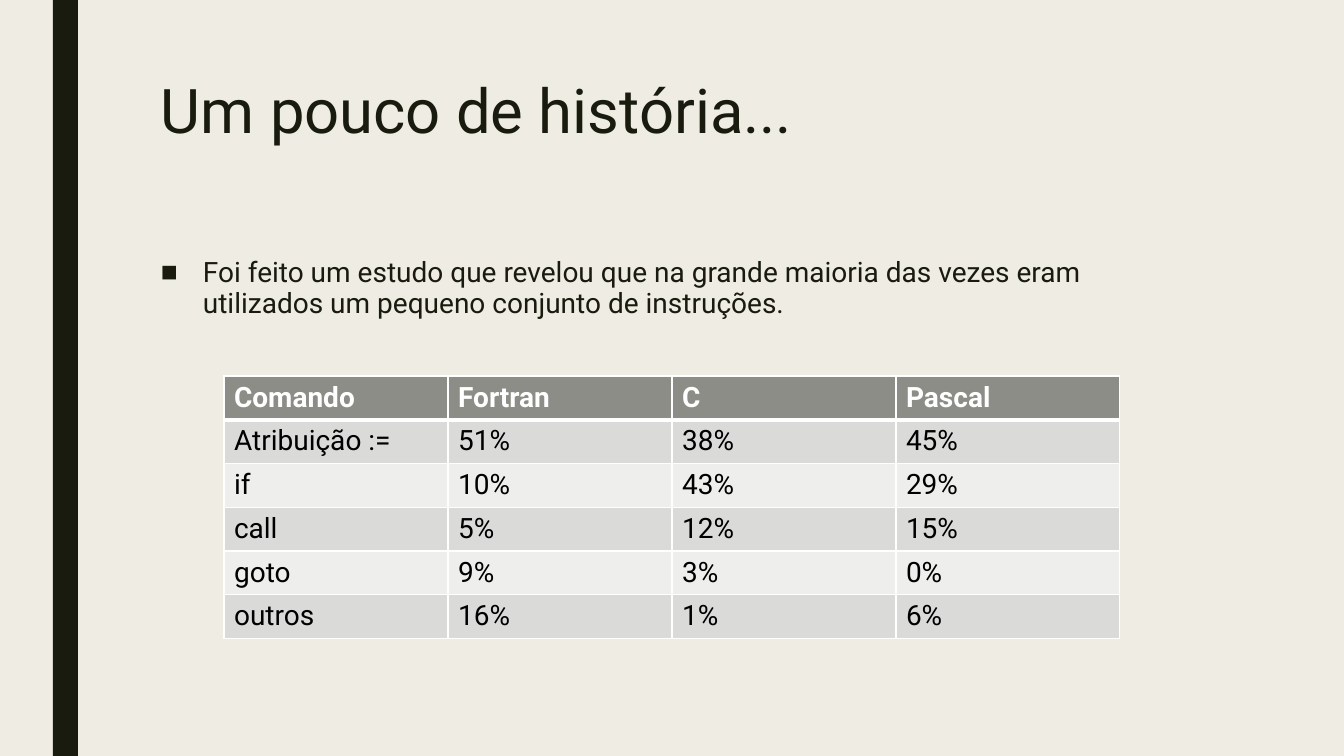
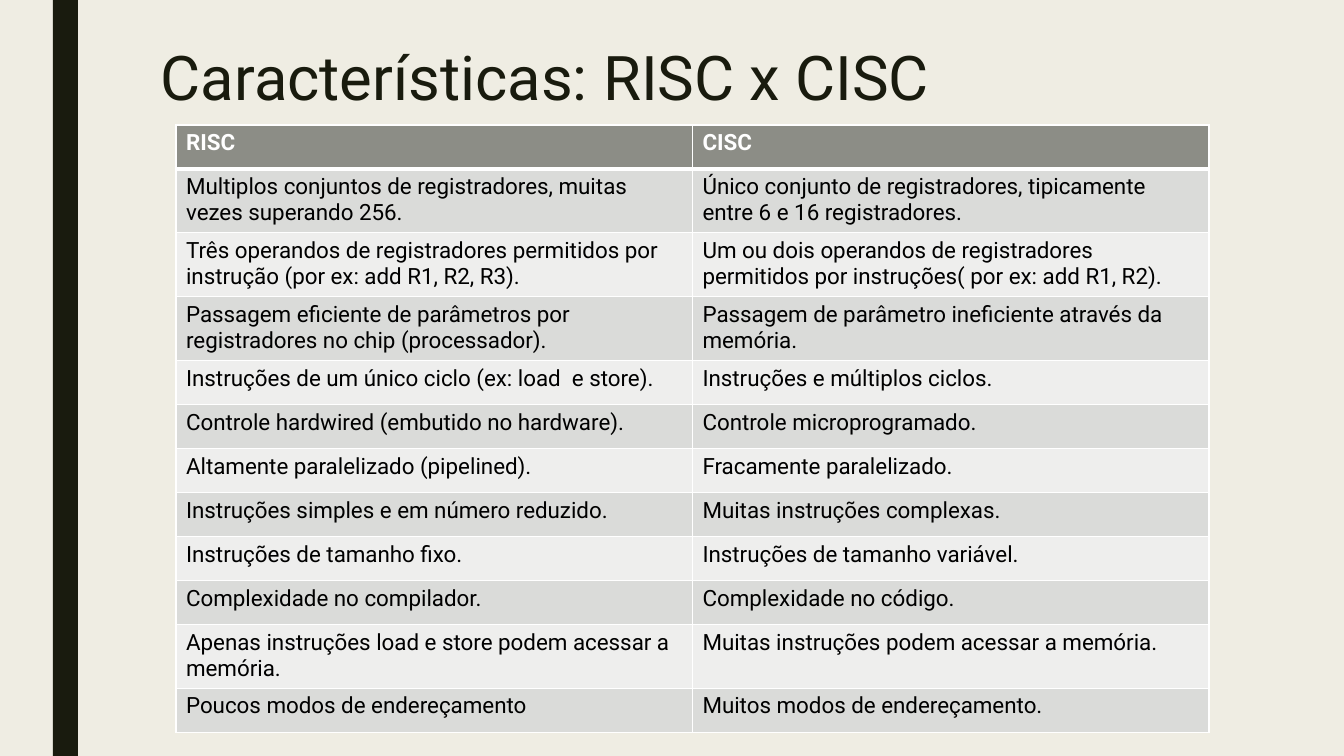
import pptx
import pptx.util
import pptx.dml.color
import pptx.enum.shapes
import pptx.oxml
import pptx.oxml.ns

PX = 914400 / 100.8
WIDE, HIGH = 1344, 756
FONT = "Roboto"
HUES = {
    "paper": "EFEDE3",
    "ink": "191B0E",
    "head": "8C8D86",
    "odd": "DADBD9",
    "even": "EEEEED",
    "white": "FFFFFF",
    "black": "000000",
}
USAGE = [
    ("Comando", "Fortran", "C", "Pascal"),
    ("Atribuição :=", "51%", "38%", "45%"),
    ("if", "10%", "43%", "29%"),
    ("call", "5%", "12%", "15%"),
    ("goto", "9%", "3%", "0%"),
    ("outros", "16%", "1%", "6%"),
]
TRAITS = [
    ("RISC", "CISC"),
    ("Multiplos conjuntos de registradores, muitas vezes superando 256.",
     "Único conjunto de registradores, tipicamente entre 6 e 16 registradores."),
    ("Três operandos de registradores permitidos por instrução (por ex: add R1, R2, R3).",
     "Um ou dois operandos de registradores permitidos por instruções( por ex: add R1, R2)."),
    ("Passagem eficiente de parâmetros por registradores no chip (processador).",
     "Passagem de parâmetro ineficiente através da memória."),
    ("Instruções de um único ciclo (ex: load  e store).", "Instruções e múltiplos ciclos."),
    ("Controle hardwired (embutido no hardware).", "Controle microprogramado."),
    ("Altamente paralelizado (pipelined).", "Fracamente paralelizado."),
    ("Instruções simples e em número reduzido.", "Muitas instruções complexas."),
    ("Instruções de tamanho fixo.", "Instruções de tamanho variável."),
    ("Complexidade no compilador.", "Complexidade no código."),
    ("Apenas instruções load e store podem acessar a memória.",
     "Muitas instruções podem acessar a memória."),
    ("Poucos modos de endereçamento", "Muitos modos de endereçamento."),
]


def emu(px):
    return pptx.util.Emu(round(px * PX))


def hue(name):
    return pptx.dml.color.RGBColor.from_string(HUES[name])


def paint(fill, name):
    fill.solid()
    fill.fore_color.rgb = hue(name)


def style(para, size, name, bold=False):
    for run in para.runs:
        font = run.font
        font.name, font.size, font.bold = FONT, pptx.util.Pt(size), bold
        font.color.rgb = hue(name)


def write(slide, box, text, size, pitch):
    frame = slide.shapes.add_textbox(*map(emu, box)).text_frame
    frame.word_wrap = True
    frame.text = text
    para = frame.paragraphs[0]
    para.line_spacing = pitch
    style(para, size, "ink")
    return para


def point(slide, box, text):
    para = write(slide, box, text, 20, 0.94)
    para.space_before = pptx.util.Pt(10)
    para.space_after = pptx.util.Pt(2)
    props = para._p.get_or_add_pPr()
    props.set("marL", str(emu(42)))
    props.set("indent", str(emu(-42)))
    space = pptx.oxml.ns.nsdecls("a")
    for mark in ('buFont %s typeface="Arial"', 'buChar %s char="■"'):
        props.append(pptx.oxml.parse_xml("<a:" + mark % space + "/>"))


def edge(cell, top, low):
    props = cell._tc.get_or_add_tcPr()
    space = pptx.oxml.ns.nsdecls("a")
    for spot, (side, width) in enumerate(zip("LRTB", (1, 1, top, low))):
        line = pptx.oxml.parse_xml(
            f'<a:ln{side} {space} w="{pptx.util.Pt(width)}"><a:solidFill>'
            f'<a:srgbClr val="{HUES["white"]}"/></a:solidFill></a:ln{side}>')
        props.insert(spot, line)


def grid(slide, box, data, size):
    left, top, width, height = box
    frame = slide.shapes.add_table(len(data), len(data[0]), *map(emu, box))
    table = frame.table
    table.horz_banding = False
    for col in table.columns:
        col.width = emu(width / len(data[0]))
    for r, texts in enumerate(data):
        table.rows[r].height = emu(height / len(data))
        head = r == 0
        back = "head" if head else "odd" if r % 2 else "even"
        for c, text in enumerate(texts):
            cell = table.cell(r, c)
            cell.text_frame.text = text
            style(cell.text_frame.paragraphs[0], size, "white" if head else "black", head)
            paint(cell.fill, back)
            edge(cell, 3 if r == 1 else 1, 3 if head else 1)


def start(deck, title, top):
    slide = deck.slides.add_slide(deck.slide_layouts[6])
    paint(slide.background.fill, "paper")
    band = slide.shapes.add_shape(
        pptx.enum.shapes.MSO_SHAPE.RECTANGLE, *map(emu, (53, 0, 25, HIGH)))
    band.shadow.inherit = False
    paint(band.fill, "ink")
    band.line.fill.background()
    write(slide, (151, top, 1058, 163), title, 44, 0.89)
    return slide


def story(deck):
    slide = start(deck, "Um pouco de história...", 76)
    point(slide, (151, 252, 1058, 112),
          "Foi feito um estudo que revelou que na grande maioria das vezes eram "
          "utilizados um pequeno conjunto de instruções.")
    grid(slide, (224, 376, 896, 258), USAGE, 20)


def versus(deck):
    slide = start(deck, "Características: RISC x CISC", 43)
    grid(slide, (176, 125, 1033, 528), TRAITS, 16)


def main():
    deck = pptx.Presentation()
    deck.slide_width, deck.slide_height = emu(WIDE), emu(HIGH)
    story(deck)
    versus(deck)
    deck.save("out.pptx")


if __name__ == "__main__":
    main()
